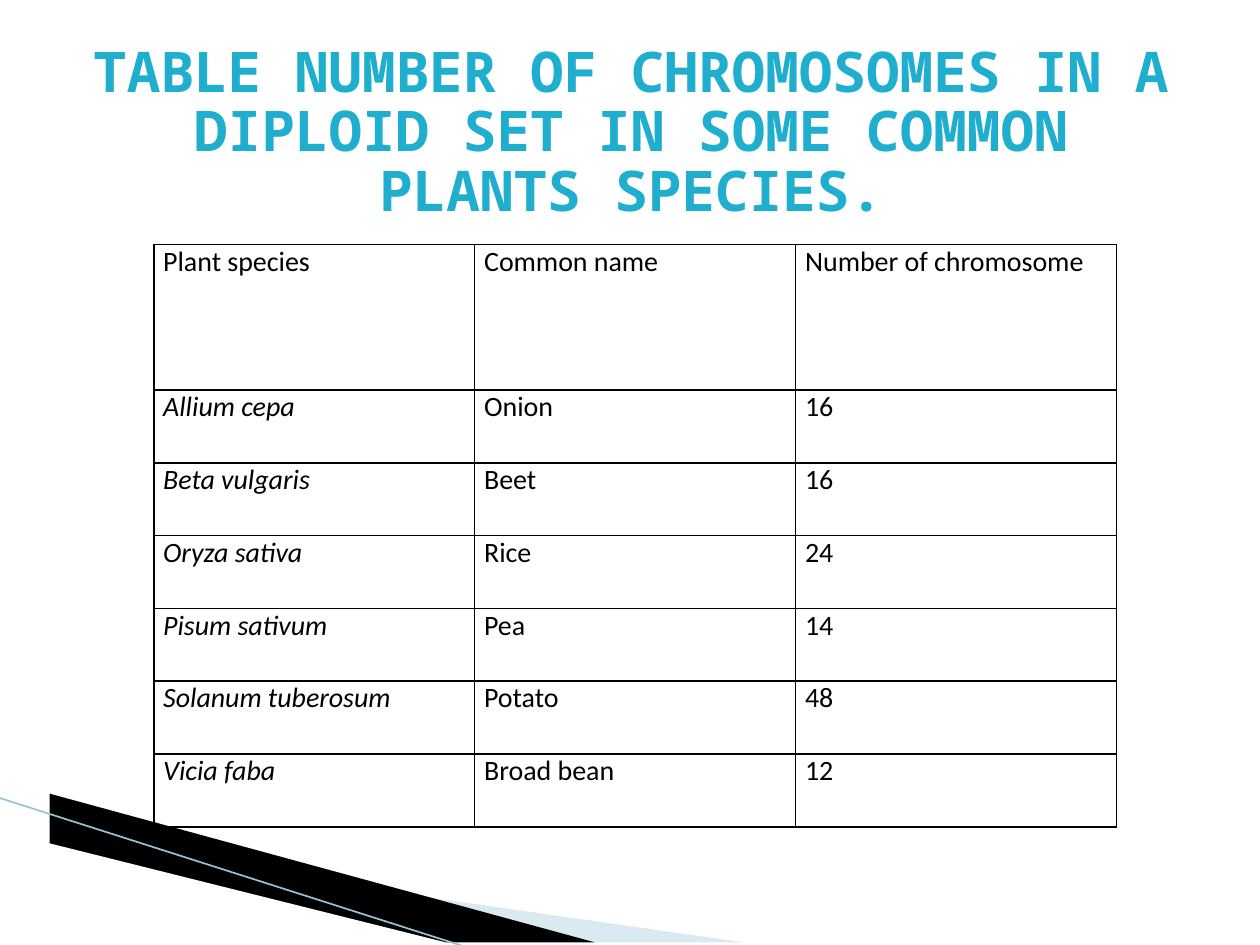
import collections

import lxml.etree
import pptx
import pptx.dml.color
import pptx.enum.shapes
import pptx.enum.text
import pptx.oxml
import pptx.oxml.ns
import pptx.util

Cm = pptx.util.Cm
Pt = pptx.util.Pt
qn = pptx.oxml.ns.qn
Box = collections.namedtuple("Box", "left top width height")

COLOURS = {
    "title": "1FAECD",
    "ink": "000000",
    "pale": "A0CBDC",
    "edge": "97C5D8",
}
TITLE = "TABLE NUMBER OF CHROMOSOMES IN A DIPLOID SET IN SOME COMMON PLANTS SPECIES."
ROWS = [
    ("Plant species", "Common name", "Number of chromosome"),
    ("Allium cepa", "Onion", "16"),
    ("Beta vulgaris", "Beet", "16"),
    ("Oryza sativa", "Rice", "24"),
    ("Pisum sativum", "Pea", "14"),
    ("Solanum tuberosum", "Potato", "48"),
    ("Vicia faba", "Broad bean", "12"),
]


def colour(name):
    return pptx.dml.color.RGBColor.from_string(COLOURS[name])


def format_span(span, font, size, ink, bold=False, italic=False):
    span.font.name = font
    span.font.size = Pt(size)
    span.font.color.rgb = colour(ink)
    span.font.bold = bold
    span.font.italic = italic


def add_wing(slide, box, points, fill, opacity=100):
    start, *others = [(box.left + x, box.top + y) for x, y in points]
    builder = slide.shapes.build_freeform(*start, scale=Cm(1))
    builder.add_line_segments(others, close=True)
    wing = builder.convert_to_shape()
    wing.shadow.inherit = False
    wing.line.fill.background()
    wing.fill.solid()
    wing.fill.fore_color.rgb = colour(fill)
    if opacity < 100:
        tint = wing.fill._xPr.find(".//" + qn("a:srgbClr"))
        lxml.etree.SubElement(tint, qn("a:alpha"), val=str(opacity * 1000))


def add_corner(slide, box):
    bottom = box.height
    add_wing(slide, box, [(1.43, 0.46), (box.width, bottom), (11.61, bottom), (1.43, 0.43)], "pale", 40)
    add_wing(slide, box, [(1.38, 0.4), (11.64, bottom), (9.48, bottom), (1.4, 0.43)], "ink")
    edge = slide.shapes.add_connector(
        pptx.enum.shapes.MSO_CONNECTOR.STRAIGHT,
        Cm(box.left), Cm(box.top), Cm(box.left + 9.45), Cm(box.top + bottom),
    )
    edge.line.color.rgb = colour("edge")
    edge.line.width = Pt(0.95)
    lxml.etree.SubElement(edge._element.spPr, qn("a:effectLst"))


def add_borders(cell):
    properties = cell._tc.get_or_add_tcPr()
    for position, side in enumerate(("lnL", "lnR", "lnT", "lnB")):
        border = pptx.oxml.parse_xml(
            f'<a:{side} {pptx.oxml.ns.nsdecls("a")} w="{Pt(1)}"><a:solidFill>'
            f'<a:srgbClr val="{COLOURS["ink"]}"/></a:solidFill></a:{side}>'
        )
        properties.insert(position, border)


def add_species_table(slide, box):
    frame = slide.shapes.add_table(len(ROWS), len(ROWS[0]), *map(Cm, box))
    table = frame.table
    table.first_row = False
    table.horz_banding = False
    unit = box.height / (len(ROWS) + 1)
    for index, texts in enumerate(ROWS):
        table.rows[index].height = Cm(unit if index else 2 * unit)
        for column, text in enumerate(texts):
            cell = table.cell(index, column)
            cell.margin_left = cell.margin_right = Cm(0.19)
            cell.margin_top = cell.margin_bottom = 0
            cell.fill.background()
            add_borders(cell)
            cell.text_frame.text = text
            span = cell.text_frame.paragraphs[0].runs[0]
            format_span(span, "Calibri", 16, "ink", italic=index > 0 and column == 0)


def add_title(slide, box):
    frame = slide.shapes.add_textbox(*map(Cm, box)).text_frame
    frame.word_wrap = True
    frame.vertical_anchor = pptx.enum.text.MSO_ANCHOR.MIDDLE
    frame.margin_left = frame.margin_right = frame.margin_top = Cm(0.28)
    frame.margin_bottom = Cm(0.13)
    frame.text = TITLE
    para = frame.paragraphs[0]
    para.alignment = pptx.enum.text.PP_ALIGN.CENTER
    para.line_spacing = 0.88
    format_span(para.runs[0], "Noto Sans Mono", 32, "title", bold=True)


def main():
    deck = pptx.Presentation()
    deck.slide_width, deck.slide_height = Cm(25.4), Cm(19.05)
    slide = deck.slides.add_slide(deck.slide_layouts[6])
    add_corner(slide, Box(-0.03, 16.08, 15.14, 3.02))
    add_species_table(slide, Box(3.1, 4.93, 19.41, 11.74))
    add_title(slide, Box(1.3, 0.74, 22.86, 3.78))
    deck.save("out.pptx")


if __name__ == "__main__":
    main()
